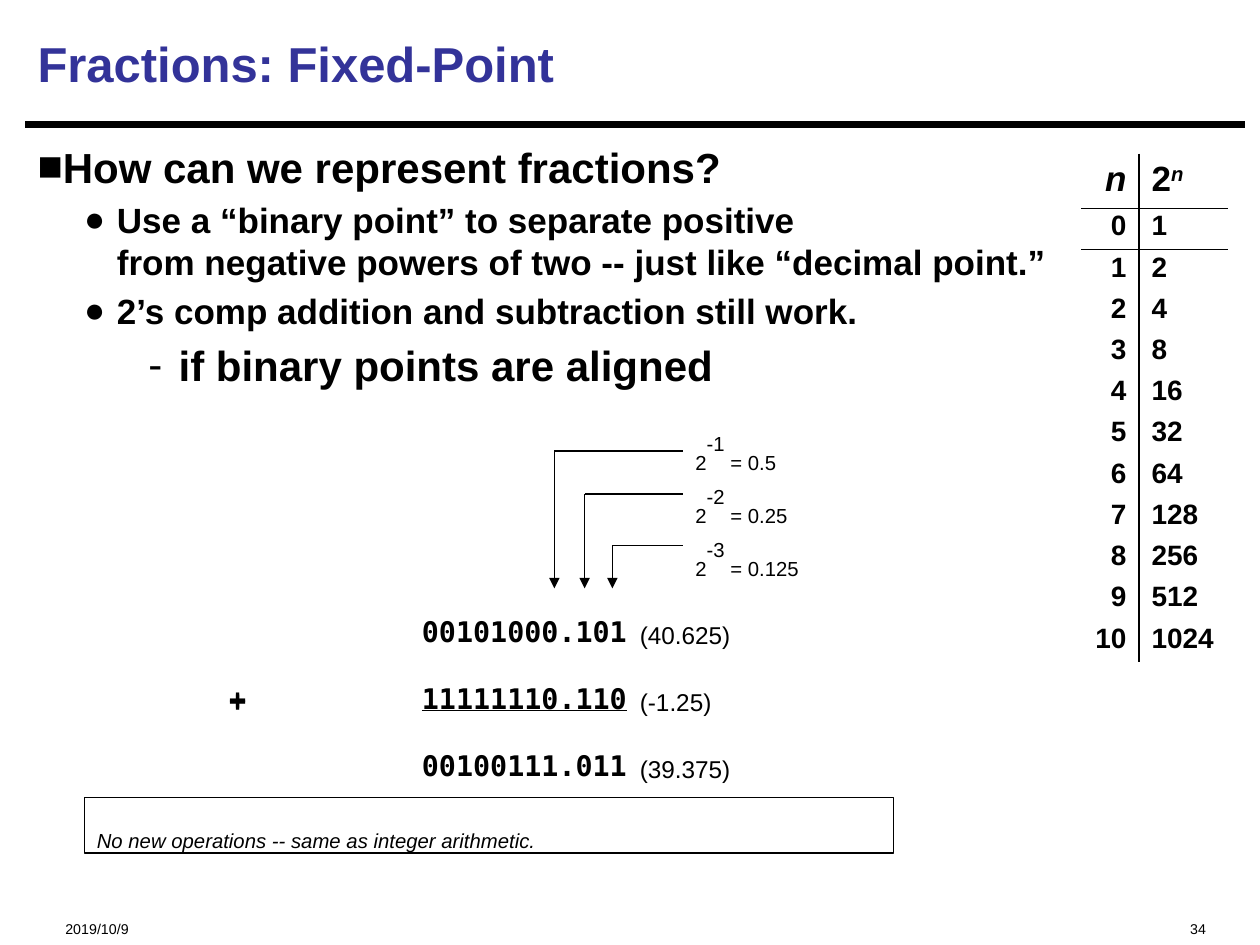
from lxml.etree import SubElement
from pptx import Presentation
from pptx.dml.color import RGBColor
from pptx.enum.shapes import MSO_CONNECTOR as Connector, MSO_SHAPE as Shape
from pptx.enum.text import MSO_ANCHOR as Anchor, PP_ALIGN as Align
from pptx.oxml import parse_xml
from pptx.oxml.ns import nsdecls, qn
from pptx.util import Inches, Pt

BLACK = RGBColor(0x00, 0x00, 0x00)
TITLE_BLUE = RGBColor(0x33, 0x33, 0x99)
SANS, MONO = "Arial", "DejaVu Sans Mono"
PLAIN_TABLE_STYLE = "{2D5ABB26-0587-4C30-8999-92F81FD0307C}"

# text lines, level, size, left margin, first-line indent, bullet
BULLETS = [
    (["How can we represent fractions?"], 0, 24, 0, 0, "■"),
    (["Use a “binary point” to separate positive",
      "from negative powers of two -- just like “decimal point.”"], 1, 20, 0.63, -0.26, "●"),
    (["2’s comp addition and subtraction still work."], 1, 20, 0.63, -0.26, "●"),
    (["if binary points are aligned"], 2, 24, 1.12, -0.24, "-"),
]
# exponent, value, label width, arrow x, arrow top
PLACES = [
    ("-1", "0.5", 1.22, 4.4, 3.58),
    ("-2", "0.25", 1.37, 4.64, 3.92),
    ("-3", "0.125", 1.53, 4.86, 4.33),
]
TAB_STOPS = (0.47, 2, 3.73)


def add_span(para, text, size, face=SANS, color=BLACK, bold=False, italic=False,
             underline=False, rise=0):
    """Add one run; rise lifts it by that percent of its size."""
    span = para.add_run()
    span.text = text
    font = span.font
    font.size, font.name, font.bold, font.italic = Pt(size), face, bold, italic
    font.underline = underline
    font.color.rgb = color
    if rise:
        span._r.get_or_add_rPr().set("baseline", str(rise * 1000))


def add_box(page, left, top, width, height, inset_top=0.05):
    box = page.shapes.add_textbox(Inches(left), Inches(top), Inches(width), Inches(height))
    frame = box.text_frame
    frame.word_wrap = True
    frame.margin_top = Inches(inset_top)
    return frame


def add_line(page, start, end, weight=0.75, arrow=False):
    line = page.shapes.add_connector(Connector.STRAIGHT, *map(Inches, start + end))
    line.line.color.rgb = BLACK
    line.line.width = Pt(weight)
    if arrow:
        SubElement(line.line._get_or_add_ln(), qn("a:tailEnd"), type="triangle")
    SubElement(line._element.spPr, qn("a:effectLst"))


def next_para(frame, index):
    return frame.add_paragraph() if index else frame.paragraphs[0]


def add_heading(page):
    add_line(page, (0.2, 0.99), (9.88, 0.99), weight=3.75)
    frame = add_box(page, 0.2, 0.08, 9.67, 0.84)
    frame.vertical_anchor = Anchor.MIDDLE
    add_span(frame.paragraphs[0], "Fractions: Fixed-Point", 28, color=TITLE_BLUE, bold=True)


def add_footer(page):
    for text, left, width, align in (("2019/10/9", 0.42, 2.5, Align.LEFT),
                                     ("34", 6.67, 3, Align.RIGHT)):
        frame = add_box(page, left, 7.15, width, 0.27, inset_top=0.18)
        frame.margin_bottom = 0
        para = frame.paragraphs[0]
        para.alignment = align
        add_span(para, text, 8.1)


def add_bullets(page):
    frame = add_box(page, 0.2, 1.07, 9.67, 5.99)
    for index, (lines, level, size, margin, indent, mark) in enumerate(BULLETS):
        para = next_para(frame, index)
        para.level = level
        if index:
            para.space_before = Pt(size * 0.2)
        props = para._p.get_or_add_pPr()
        props.set("marL", str(Inches(margin)))
        props.set("indent", str(Inches(indent)))
        SubElement(props, qn("a:buFont"), typeface=SANS)
        SubElement(props, qn("a:buChar"), char=mark)
        for number, line in enumerate(lines):
            if number:
                para.add_line_break()
            add_span(para, line, size, bold=True)


def add_place_values(page):
    """Label each binary place and point an arrow at its digit."""
    for index, (exponent, value, width, x, y) in enumerate(PLACES):
        frame = add_box(page, 5.42, 3.33 + 0.42 * index, width, 0.43, inset_top=0.09)
        para = frame.paragraphs[0]
        add_span(para, "2", 11.6)
        add_span(para, exponent, 20, rise=55)
        add_span(para, f" = {value}", 11.6)
        add_line(page, (5.42, y), (x, y))
        add_line(page, (x, y), (x, 4.67), arrow=True)


def add_tabbed_rows(page, top, rows):
    """Each row is a list of (text, size, face, underline) on shared tab stops."""
    frame = add_box(page, 1.25, top, 7.83, 1.5)
    for index, row in enumerate(rows):
        para = next_para(frame, index)
        para.line_spacing = Pt(38.3)
        tabs = SubElement(para._p.get_or_add_pPr(), qn("a:tabLst"))
        for stop in TAB_STOPS:
            SubElement(tabs, qn("a:tab"), pos=str(Inches(stop)), algn="l")
        for text, size, face, underline in row:
            add_span(para, text, size, face, bold=face == MONO, underline=underline)


def add_sum(page):
    def mono(text, underline=False):
        return text, 16.2, MONO, underline

    def decimal(text):
        return text, 13.9, SANS, False

    add_tabbed_rows(page, 4.58, [
        [mono("\t\t\t"), decimal("(40.625)")],
        [mono("\t+"), mono("\t", True), mono("\t"), decimal("(-1.25)")],
        [mono("\t\t\t"), decimal("(39.375)")],
    ])
    add_tabbed_rows(page, 4.56, [
        [mono("\t\t00101000.101\t")],
        [mono("\t+"), mono("\t11111110.110", True), mono("\t")],
        [mono("\t\t00100111.011\t")],
    ])


def add_note(page):
    note = page.shapes.add_shape(Shape.RECTANGLE, Inches(0.67), Inches(6.33),
                                 Inches(6.42), Inches(0.44))
    note.shadow.inherit = False
    note.fill.background()
    note.line.color.rgb = BLACK
    note.line.width = Pt(0.75)
    frame = note.text_frame
    frame.word_wrap = True
    frame.margin_bottom = 0
    frame.vertical_anchor = Anchor.BOTTOM
    para = frame.paragraphs[0]
    para.alignment = Align.LEFT
    add_span(para, "No new operations -- same as integer arithmetic.", 11.6, italic=True)


def set_borders(cell, sides):
    """Draw the named sides, given in the order L, R, T, B."""
    props = cell._tc.get_or_add_tcPr()
    for index, side in enumerate(sides):
        props.insert(index, parse_xml(
            f'<a:ln{side} {nsdecls("a")} w="{Pt(1)}"><a:solidFill>'
            f'<a:srgbClr val="{BLACK}"/></a:solidFill></a:ln{side}>'))


def add_powers_table(page):
    row_count = 12
    table = page.shapes.add_table(row_count, 2, Inches(8.58), Inches(1.22),
                                  Inches(1.17), Inches(4.03)).table
    table.first_row = table.horz_banding = False
    table._tbl.tblPr.find(qn("a:tableStyleId")).text = PLAIN_TABLE_STYLE
    table.columns[0].width, table.columns[1].width = Inches(0.46), Inches(0.71)
    for index in range(row_count):
        table.rows[index].height = Inches(3.6 / (row_count - 1) if index else 0.43)
        cells = table.cell(index, 0), table.cell(index, 1)
        left, right = (cell.text_frame.paragraphs[0] for cell in cells)
        left.alignment = Align.RIGHT
        if index:
            left.line_spacing = right.line_spacing = 0.85
            add_span(left, str(index - 1), 16, bold=True)
            add_span(right, str(2 ** (index - 1)), 16, bold=True)
        else:
            add_span(left, "n", 20, bold=True, italic=True)
            add_span(right, "2", 20, bold=True)
            add_span(right, "n", 20, bold=True, italic=True, rise=30)
        header_rule = {0: "B", 1: "T"}.get(index, "")
        for cell, side in zip(cells, "RL"):
            cell.fill.background()
            set_borders(cell, side + header_rule)


def main():
    deck = Presentation()
    deck.slide_width, deck.slide_height = Inches(10), Inches(7.5)
    page = deck.slides.add_slide(deck.slide_layouts[6])
    for add_part in (add_heading, add_footer, add_bullets, add_place_values,
                     add_note, add_powers_table, add_sum):
        add_part(page)
    deck.save("out.pptx")


if __name__ == "__main__":
    main()
